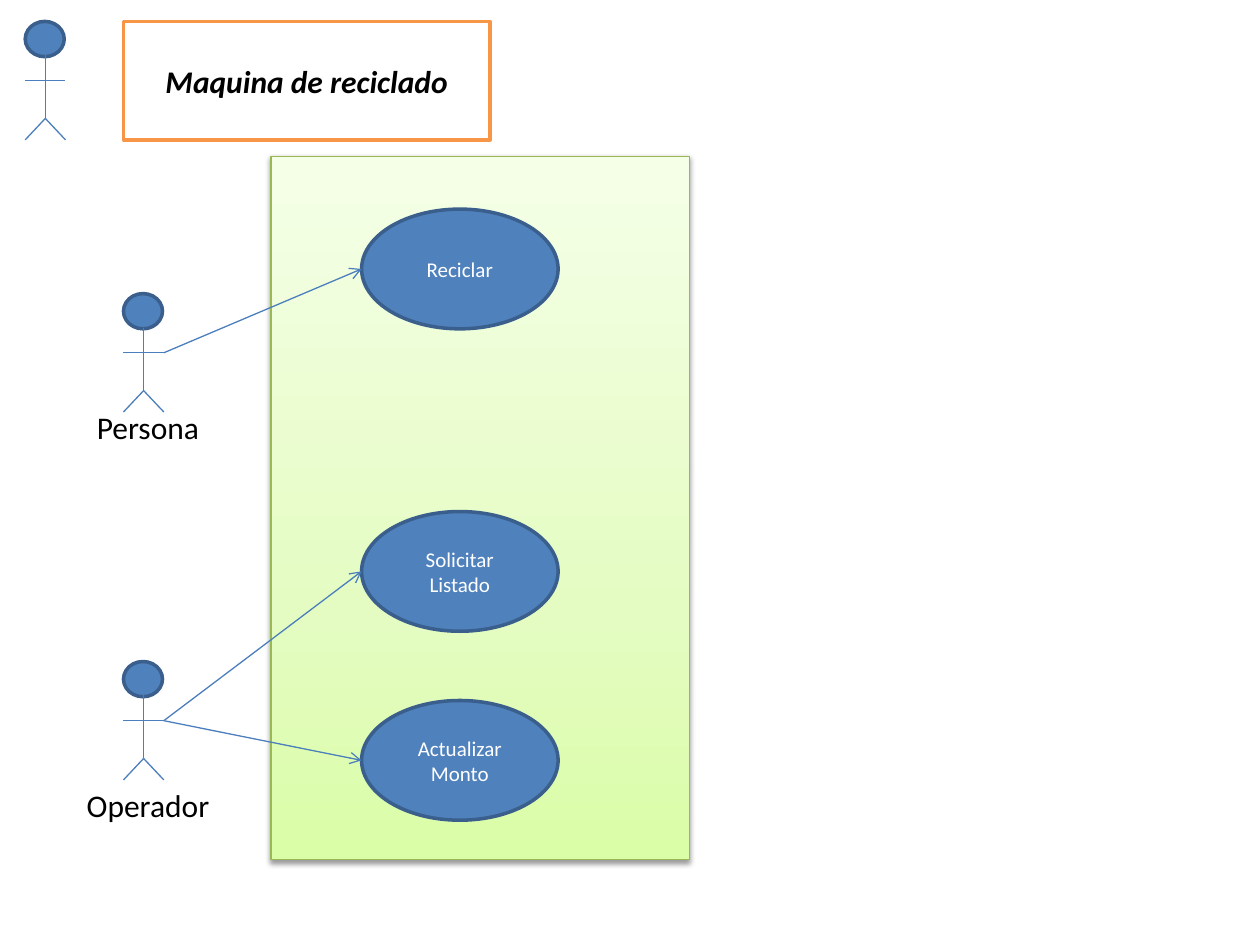
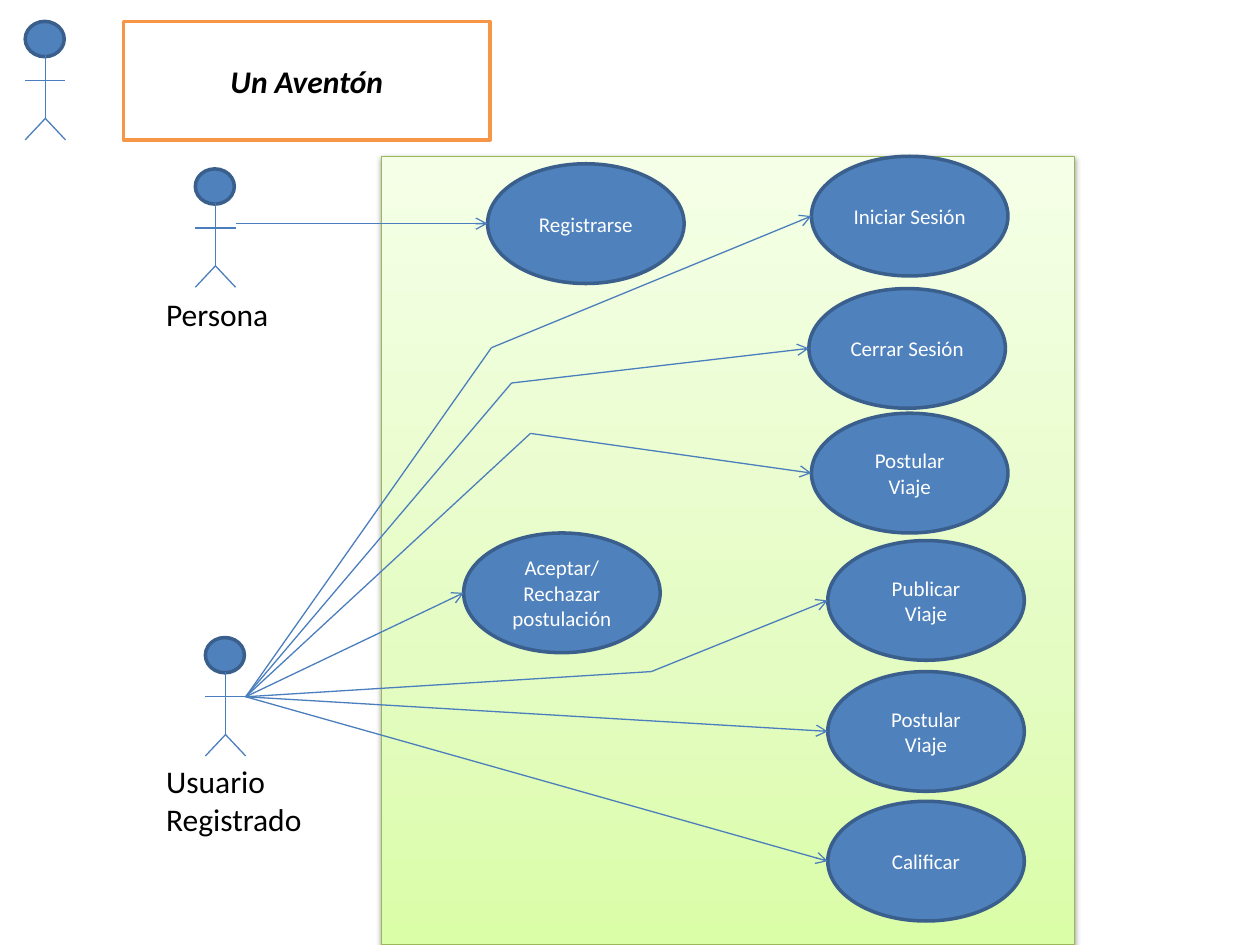
from lxml import etree
from pptx import Presentation
from pptx.dml.color import RGBColor
from pptx.enum.shapes import MSO_CONNECTOR, MSO_SHAPE
from pptx.enum.text import MSO_ANCHOR, PP_ALIGN
from pptx.oxml import parse_xml
from pptx.oxml.ns import nsdecls, qn
from pptx.util import Inches, Pt

STRAIGHT = MSO_CONNECTOR.STRAIGHT
OVAL, RECTANGLE = MSO_SHAPE.OVAL, MSO_SHAPE.RECTANGLE
CENTER, LEFT = PP_ALIGN.CENTER, PP_ALIGN.LEFT
MIDDLE, TOP = MSO_ANCHOR.MIDDLE, MSO_ANCHOR.TOP

FONT = "Calibri"
COLORS = {
    "white": "FFFFFF", "black": "000000", "blue": "4F81BD", "outline": "3A5F8C",
    "link": "4B7EBC", "title": "F79646", "system": "98B955",
}
SYSTEM_GRADIENT = [(0, "DAFDA7"), (35, "E4FCC2"), (100, "F5FFE7")]

# Boxes are (left, top, width, height) in inches.
TITLE_BOX = (0.98, 0.17, 2.91, 0.94)
LEGEND_ACTOR = (0.2, 0.17)
CASE_SIZE = (1.56, 0.95)
HEAD_SIZE = (0.31, 0.28)
ACTOR_WIDTH, NECK, ARMS, HIPS, FEET = 0.32, 0.27, 0.47, 0.77, 0.94
LEVEL_TOLERANCE = 0.1

# Actors: name -> (figure position, label lines, label box).
# Use cases: (text, position, actor linked to it, bend of the link or None).
DIAGRAMS = [
    {
        "title": "Maquina de reciclado",
        "system": (2.15, 1.24, 3.32, 5.58),
        "actors": {
            "persona": ((0.98, 2.33), ["Persona"], (0.67, 3.19, 1.1, 0.4)),
            "operador": ((0.98, 5.25), ["Operador"], (0.59, 6.19, 1.26, 0.4)),
        },
        "cases": [
            ("Reciclar", (2.87, 1.66), "persona", None),
            ("Solicitar Listado", (2.87, 4.06), "operador", None),
            ("Actualizar Monto", (2.87, 5.56), "operador", None),
        ],
    },
    {
        "title": "Un Aventón",
        "system": (3.03, 1.24, 5.5, 6.26),
        "actors": {
            "persona": ((1.55, 1.34), ["Persona"], (1.22, 2.29, 1.1, 0.4)),
            "usuario": ((1.63, 5.06), ["Usuario", "Registrado"], (1.22, 6, 1.41, 0.71)),
        },
        "cases": [
            ("Registrarse", (3.87, 1.3), "persona", None),
            ("Iniciar Sesión", (6.44, 1.24), "usuario", (3.9, 2.76)),
            ("Cerrar Sesión", (6.42, 2.29), "usuario", (4.06, 3.04)),
            ("Publicar Viaje", (6.57, 4.29), "usuario", (5.17, 5.33)),
            ("Postular Viaje", (6.57, 5.33), "usuario", None),
            ("Postular Viaje", (6.44, 3.28), "usuario", (4.21, 3.44)),
            ("Aceptar/Rechazar postulación", (3.68, 4.23), "usuario", None),
            ("Calificar", (6.57, 6.36), "usuario", None),
        ],
    },
]


def rgb(name):
    return RGBColor.from_string(COLORS[name])


def inches(values):
    return [Inches(value) for value in values]


def style_shape(shape, fill, line, width):
    if fill:
        shape.fill.solid()
        shape.fill.fore_color.rgb = rgb(fill)
    shape.line.color.rgb = rgb(line)
    shape.line.width = Pt(width)


def write(shape, lines, size, color, align=CENTER, anchor=MIDDLE, emphasis=False):
    frame = shape.text_frame
    frame.word_wrap = True
    frame.vertical_anchor = anchor
    for index, line in enumerate(lines):
        paragraph = frame.add_paragraph() if index else frame.paragraphs[0]
        paragraph.alignment = align
        run = paragraph.add_run()
        run.text = line
        run.font.name = FONT
        run.font.size = Pt(size)
        run.font.color.rgb = rgb(color)
        run.font.bold = run.font.italic = emphasis


def add_oval(shapes, position, size):
    oval = shapes.add_shape(OVAL, *inches(position + size))
    oval.shadow.inherit = False
    style_shape(oval, "blue", "outline", 2)
    return oval


def add_line(shapes, start, end, arrow=False):
    connector = shapes.add_connector(STRAIGHT, *inches(start + end))
    connector.line.color.rgb = rgb("link")
    connector.line.width = Pt(0.75)
    properties = connector._element.spPr
    if arrow:
        etree.SubElement(properties.find(qn("a:ln")), qn("a:tailEnd"), type="arrow")
    etree.SubElement(properties, qn("a:effectLst"))


def add_title(slide, text):
    title = slide.shapes.title
    title.left, title.top, title.width, title.height = inches(TITLE_BOX)
    style_shape(title, "white", "title", 2)
    write(title, [text], 18, "black", emphasis=True)


def add_system(slide, box):
    """Draw the system boundary with its gradient and soft shadow."""
    system = slide.shapes.add_shape(RECTANGLE, *inches(box))
    system.shadow.inherit = False
    system.fill.gradient()
    style_shape(system, None, "system", 0.75)
    properties = system._element.spPr
    stops = "".join(
        f'<a:gs pos="{position * 1000}"><a:srgbClr val="{color}"/></a:gs>'
        for position, color in SYSTEM_GRADIENT
    )
    properties.replace(properties.find(qn("a:gradFill")), parse_xml(
        f'<a:gradFill {nsdecls("a")} rotWithShape="1"><a:gsLst>{stops}</a:gsLst>'
        '<a:lin ang="16200000" scaled="0"/></a:gradFill>'))
    properties.find(qn("a:effectLst")).append(parse_xml(
        f'<a:outerShdw {nsdecls("a")} blurRad="{Pt(3.1)}" dist="{Pt(1.6)}" '
        f'dir="5400000" rotWithShape="0"><a:srgbClr val="{COLORS["black"]}">'
        '<a:alpha val="38000"/></a:srgbClr></a:outerShdw>'))


def add_actor(slide, position):
    """Draw a stick figure as one group."""
    left, top = position
    middle, right = left + ACTOR_WIDTH / 2, left + ACTOR_WIDTH
    hips = (middle, top + HIPS)
    shapes = slide.shapes.add_group_shape().shapes
    add_oval(shapes, position, HEAD_SIZE)
    add_line(shapes, (middle, top + NECK), hips)
    add_line(shapes, (left, top + ARMS), (right, top + ARMS))
    for foot in (left, right):
        add_line(shapes, hips, (foot, top + FEET))


def add_link(slide, actor_position, case_position, bend):
    """Join an actor's hand to the left of a use case, level if nearly so."""
    left, top = actor_position
    target = (case_position[0], case_position[1] + CASE_SIZE[1] / 2)
    start = (left + ACTOR_WIDTH, top + ARMS)
    if abs(start[1] - target[1]) < LEVEL_TOLERANCE:
        start = (start[0], target[1])
    if bend:
        add_line(slide.shapes, start, bend)
        start = bend
    add_line(slide.shapes, start, target, arrow=True)


def add_diagram(presentation, diagram):
    slide = presentation.slides.add_slide(presentation.slide_layouts[5])
    add_title(slide, diagram["title"])
    add_system(slide, diagram["system"])
    add_actor(slide, LEGEND_ACTOR)
    actors, cases = diagram["actors"], diagram["cases"]
    for position, lines, box in actors.values():
        add_actor(slide, position)
        label = slide.shapes.add_textbox(*inches(box))
        write(label, lines, 18, "black", LEFT, TOP)
    for text, position, _, _ in cases:
        write(add_oval(slide.shapes, position, CASE_SIZE), [text], 12, "white")
    for _, position, actor, bend in cases:
        add_link(slide, actors[actor][0], position, bend)


def main():
    presentation = Presentation()
    presentation.slide_width, presentation.slide_height = Inches(10), Inches(7.5)
    for diagram in DIAGRAMS:
        add_diagram(presentation, diagram)
    presentation.save("out.pptx")


if __name__ == "__main__":
    main()
